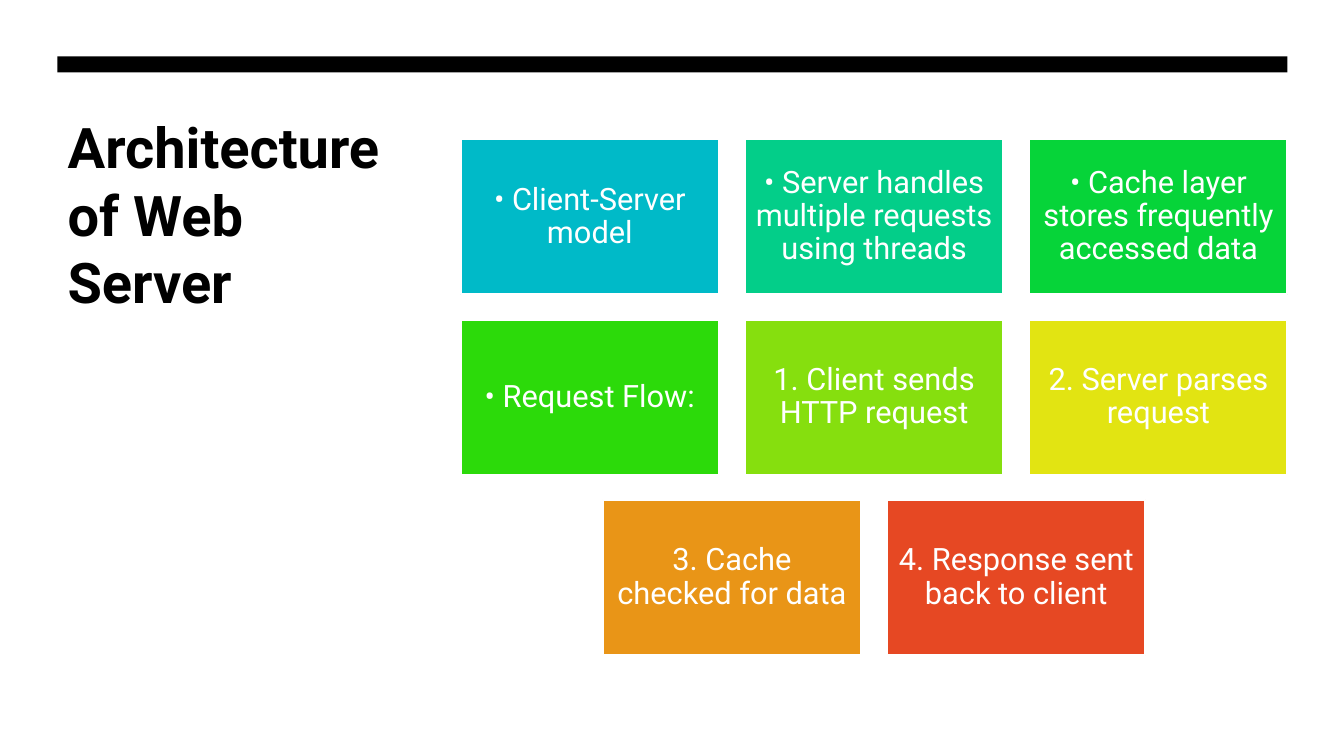
from pptx import Presentation
from pptx.dml.color import RGBColor
from pptx.enum.shapes import MSO_SHAPE
from pptx.enum.text import MSO_ANCHOR, MSO_AUTO_SIZE, PP_ALIGN
from pptx.util import Pt

EMU_PER_PX = 9144
TITLE_ONLY = 5
RECTANGLE = MSO_SHAPE.RECTANGLE
TOP, MIDDLE = MSO_ANCHOR.TOP, MSO_ANCHOR.MIDDLE
LEFT, CENTER = PP_ALIGN.LEFT, PP_ALIGN.CENTER
NO_AUTOFIT = MSO_AUTO_SIZE.NONE

BLACK = RGBColor(0x00, 0x00, 0x00)
WHITE = RGBColor(0xFF, 0xFF, 0xFF)
CYAN = RGBColor(0x00, 0xBA, 0xC8)
TEAL = RGBColor(0x03, 0xCE, 0x89)
EMERALD = RGBColor(0x06, 0xD4, 0x39)
GREEN = RGBColor(0x2C, 0xDA, 0x0A)
LIME = RGBColor(0x86, 0xDF, 0x0E)
YELLOW = RGBColor(0xE2, 0xE4, 0x12)
ORANGE = RGBColor(0xE9, 0x95, 0x17)
RED = RGBColor(0xE6, 0x48, 0x23)

CARD_ROWS = [
    [
        ("• Client-Server model", CYAN),
        ("• Server handles multiple requests using threads", TEAL),
        ("• Cache layer stores frequently accessed data", EMERALD),
    ],
    [
        ("• Request Flow:", GREEN),
        ("1. Client sends HTTP request", LIME),
        ("2. Server parses request", YELLOW),
    ],
    [
        ("3. Cache checked for data", ORANGE),
        ("4. Response sent back to client", RED),
    ],
]
GRID_LEFT, GRID_TOP, GRID_RIGHT = 458, 138, 1277
CARD_WIDTH, CARD_HEIGHT = 256, 154
COLUMN_STEP, ROW_STEP = 282, 179


def px(length):
    return round(length * EMU_PER_PX)


class SlideBuilder:
    font = "Roboto"
    title_size = Pt(40)
    card_size = Pt(22)
    card_inset = 9

    def __init__(self, slide):
        self.slide = slide

    def style_text(self, shape, text, size, color, alignment, anchor, bold=False):
        frame = shape.text_frame
        frame.text = text
        frame.word_wrap = True
        frame.auto_size = NO_AUTOFIT
        frame.vertical_anchor = anchor
        paragraph = frame.paragraphs[0]
        paragraph.alignment = alignment
        font = paragraph.runs[0].font
        font.name = self.font
        font.size = size
        font.bold = bold
        font.color.rgb = color
        return paragraph

    def title(self, text, left, top, width, height):
        title = self.slide.shapes.title
        title.left, title.top = px(left), px(top)
        title.width, title.height = px(width), px(height)
        self.style_text(title, text, self.title_size, BLACK, LEFT, TOP, bold=True)

    def bar(self, left, top, width, height, fill):
        shape = self.slide.shapes.add_shape(
            RECTANGLE, px(left), px(top), px(width), px(height)
        )
        shape.shadow.inherit = False
        shape.fill.solid()
        shape.fill.fore_color.rgb = fill
        shape.line.fill.background()
        return shape

    def card(self, text, left, top, fill):
        shape = self.bar(left, top, CARD_WIDTH, CARD_HEIGHT, fill)
        shape.line.color.rgb = WHITE
        shape.line.width = Pt(1.5)
        frame = shape.text_frame
        frame.margin_left = frame.margin_right = px(self.card_inset)
        frame.margin_top = frame.margin_bottom = px(self.card_inset)
        paragraph = self.style_text(
            shape, text, self.card_size, WHITE, CENTER, MIDDLE
        )
        paragraph.line_spacing = 0.9

    def card_grid(self, rows):
        for row_index, row in enumerate(rows):
            row_width = CARD_WIDTH + (len(row) - 1) * COLUMN_STEP
            row_left = (GRID_LEFT + GRID_RIGHT - row_width) // 2
            for column, (text, fill) in enumerate(row):
                self.card(
                    text,
                    row_left + column * COLUMN_STEP,
                    GRID_TOP + row_index * ROW_STEP,
                    fill,
                )


def main():
    presentation = Presentation()
    presentation.slide_width = px(1333)
    presentation.slide_height = px(750)
    layout = presentation.slide_layouts[TITLE_ONLY]
    builder = SlideBuilder(presentation.slides.add_slide(layout))
    builder.title("Architecture of Web Server", 57, 107, 345, 445)
    builder.bar(57, 56, 1220, 16, BLACK)
    builder.card_grid(CARD_ROWS)
    presentation.save("out.pptx")


if __name__ == "__main__":
    main()
